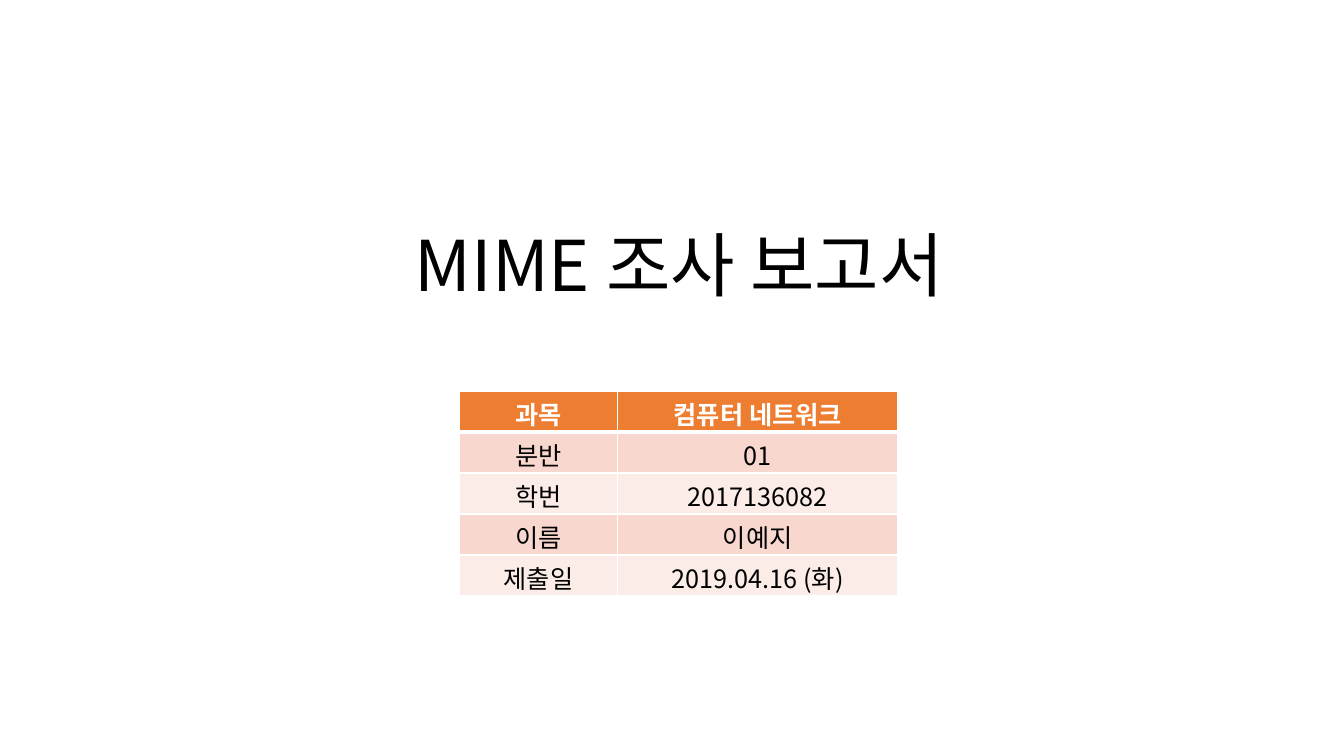
from lxml import etree
from pptx import Presentation
from pptx.dml.color import RGBColor
from pptx.enum.text import MSO_ANCHOR, MSO_AUTO_SIZE, PP_ALIGN
from pptx.oxml.ns import qn
from pptx.util import Pt

CENTER = PP_ALIGN.CENTER
MIDDLE = MSO_ANCHOR.MIDDLE
TOP = MSO_ANCHOR.TOP
NO_AUTOFIT = MSO_AUTO_SIZE.NONE
TITLE_ONLY = 5
FONT = "Noto Sans CJK KR"
COLORS = {
    "text": "000000",
    "white": "FFFFFF",
    "header": "ED7D31",
    "band_dark": "F8D7CE",
    "band_light": "FCECE8",
}
TITLE_BOX = (249.84, 158.4, 470.88, 67.68)
TABLE_BOX = (328.32, 279.36, 313.2, 146.4)
LABEL_SHARE = 0.36
REPORT_ROWS = [
    ("과목", "컴퓨터 네트워크"),
    ("분반", "01"),
    ("학번", "2017136082"),
    ("이름", "이예지"),
    ("제출일", "2019.04.16 (화)"),
]


def color(name):
    return RGBColor.from_string(COLORS[name])


def format_text(frame, size, color_name, bold=False):
    para = frame.paragraphs[0]
    para.alignment = CENTER
    for span in para.runs:
        span.font.size = Pt(size)
        span.font.bold = bold
        span.font.name = FONT
        span.font.color.rgb = color(color_name)
        east_asian = etree.SubElement(span.font._element, qn("a:ea"))
        east_asian.set("typeface", FONT)


def set_borders(cell, bottom_width, top_width):
    properties = cell._tc.get_or_add_tcPr()
    widths = {"a:lnL": 1, "a:lnR": 1, "a:lnT": top_width, "a:lnB": bottom_width}
    for position, (tag, width) in enumerate(widths.items()):
        line = etree.Element(qn(tag), w=str(Pt(width)))
        fill = etree.SubElement(line, qn("a:solidFill"))
        etree.SubElement(fill, qn("a:srgbClr"), val=COLORS["white"])
        properties.insert(position, line)


def add_title(page, box):
    title = page.shapes.title
    title.left, title.top, title.width, title.height = map(Pt, box)
    frame = title.text_frame
    frame.text = "MIME 조사 보고서"
    frame.word_wrap = True
    frame.auto_size = NO_AUTOFIT
    frame.vertical_anchor = MIDDLE
    frame.paragraphs[0].line_spacing = 0.9
    format_text(frame, 50, "text")


def add_report_table(page, box):
    table = page.shapes.add_table(len(REPORT_ROWS), 2, *map(Pt, box)).table
    width, height = box[2:]
    table.columns[0].width = Pt(width * LABEL_SHARE)
    table.columns[1].width = Pt(width * (1 - LABEL_SHARE))
    for index, values in enumerate(REPORT_ROWS):
        table.rows[index].height = Pt(height / len(REPORT_ROWS))
        header = index == 0
        band = "header" if header else "band_dark" if index % 2 else "band_light"
        for cell, value in zip(table.rows[index].cells, values):
            cell.text_frame.text = value
            cell.margin_top = Pt(2.9)
            cell.margin_bottom = Pt(0)
            cell.vertical_anchor = TOP
            cell.fill.solid()
            cell.fill.fore_color.rgb = color(band)
            format_text(cell.text_frame, 18, "white" if header else "text", header)
            set_borders(cell, 3 if header else 1, 3 if index == 1 else 1)


def main():
    deck = Presentation()
    deck.slide_width, deck.slide_height = Pt(960), Pt(540)
    page = deck.slides.add_slide(deck.slide_layouts[TITLE_ONLY])
    add_title(page, TITLE_BOX)
    add_report_table(page, TABLE_BOX)
    deck.save("out.pptx")


if __name__ == "__main__":
    main()
